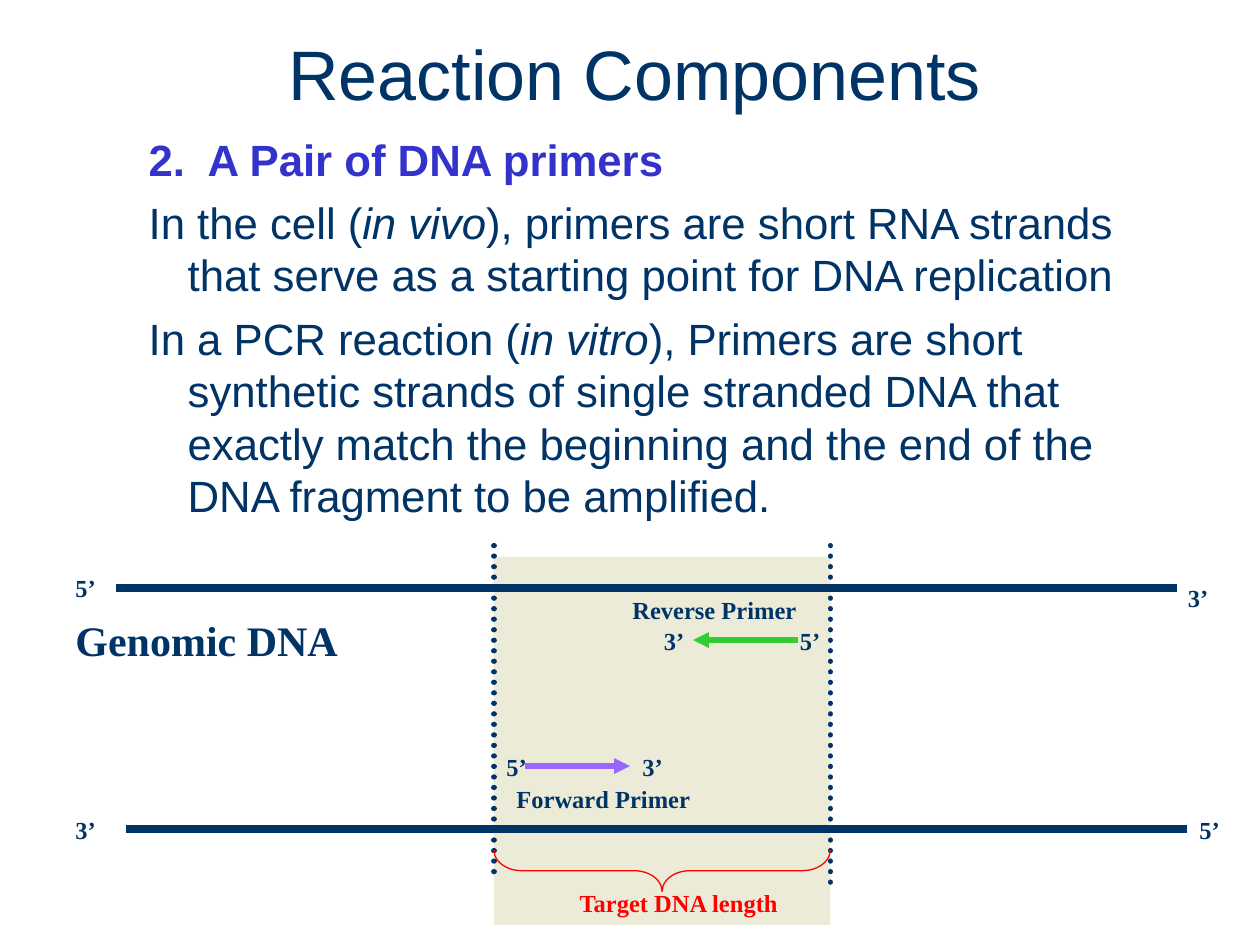
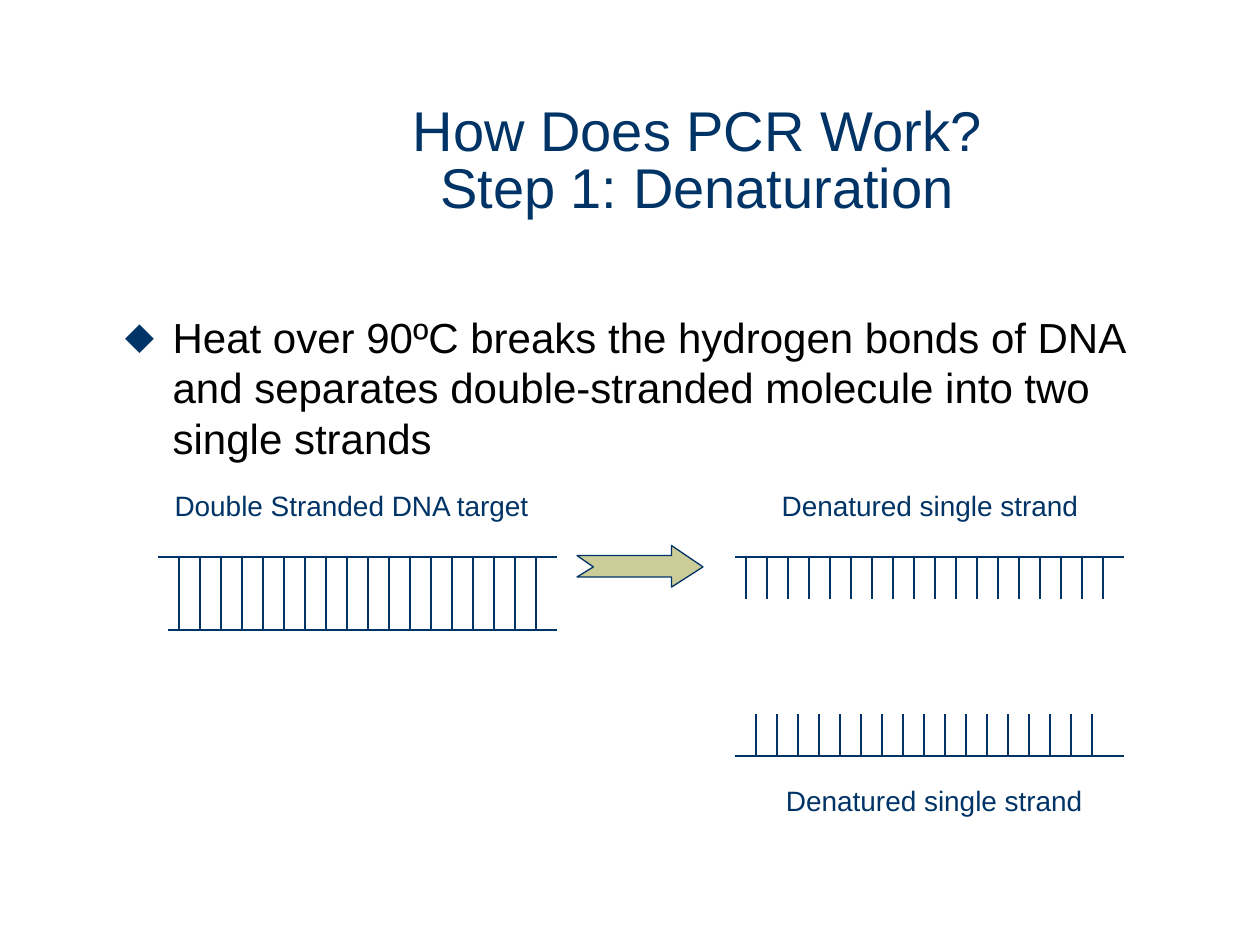
from lxml import etree
from pptx import Presentation
from pptx.dml.color import RGBColor
from pptx.enum.dml import MSO_LINE
from pptx.enum.shapes import MSO_CONNECTOR, MSO_SHAPE as SHAPE
from pptx.enum.text import MSO_ANCHOR as ANCHOR, MSO_AUTO_SIZE as FIT, PP_ALIGN as ALIGN
from pptx.oxml.ns import qn
from pptx.util import Inches, Pt

COLORS = {
    "navy": "003366", "blue": "3333CC", "black": "000000", "red": "FF0000",
    "green": "33CC33", "violet": "9966FF", "cream": "ECEBD8", "khaki": "CCCC99",
}
SANS, SERIF = "Arial", "Times New Roman"
STEP = 1 / 6  # gap between the base pairs of a strand


def color(name):
    return RGBColor.from_string(COLORS[name])


def style(para, size, tone="navy", face=SANS, bold=False):
    for run in para.runs:
        font = run.font
        font.size, font.name, font.bold = Pt(size), face, bold
        font.color.rgb = color(tone)


def move(shape, box):
    shape.left, shape.top, shape.width, shape.height = map(Inches, box)


def add_title(slide, text, box, size):
    title = slide.shapes.title
    move(title, box)
    frame = title.text_frame
    frame.text = text
    frame.auto_size = FIT.NONE
    frame.vertical_anchor = ANCHOR.MIDDLE
    para = frame.paragraphs[0]
    para.alignment, para.line_spacing = ALIGN.CENTER, 0.85
    style(para, size)


def add_body(slide, box):
    body = slide.placeholders[1]
    move(body, box)
    body.text_frame.auto_size = FIT.NONE
    return body.text_frame


def indent(para, left, hang, mark=None):
    """Set a hanging indent, with a bullet if a mark is given."""
    props = para._p.get_or_add_pPr()
    props.set("marL", str(Inches(left)))
    props.set("indent", str(-Inches(hang)))
    if mark:
        tint = etree.SubElement(props, qn("a:buClr"))
        etree.SubElement(tint, qn("a:srgbClr"), val=COLORS["navy"])
        etree.SubElement(props, qn("a:buChar"), char=mark)
    else:
        etree.SubElement(props, qn("a:buNone"))


def add_label(slide, text, x, y, width, size=14, face=SERIF, bold=True, align=ALIGN.LEFT):
    box = slide.shapes.add_textbox(Inches(x), Inches(y), Inches(width), Inches(size / 60 + 0.1))
    frame = box.text_frame
    frame.word_wrap = True
    frame.text = text
    para = frame.paragraphs[0]
    para.alignment = align
    style(para, size, face=face, bold=bold)


def add_line(slide, x1, y1, x2, y2, tone="navy", width=0.75, arrow=False, dots=False):
    line = slide.shapes.add_connector(MSO_CONNECTOR.STRAIGHT, *map(Inches, (x1, y1, x2, y2)))
    line.line.color.rgb = color(tone)
    line.line.width = Pt(width)
    props = line.line._get_or_add_ln()
    if dots:
        line.line.dash_style = MSO_LINE.ROUND_DOT
        props.set("cap", "rnd")
    if arrow:
        etree.SubElement(props, qn("a:tailEnd"), type="triangle")
    etree.SubElement(line._element.spPr, qn("a:effectLst"))


def add_shape(slide, kind, box, fill=None, tone=None):
    shape = slide.shapes.add_shape(kind, *map(Inches, box))
    paint(shape, fill, tone)
    return shape


def paint(shape, fill, tone):
    shape.shadow.inherit = False
    if fill:
        shape.fill.solid()
        shape.fill.fore_color.rgb = color(fill)
    else:
        shape.fill.background()
    if tone:
        shape.line.color.rgb = color(tone)
        shape.line.width = Pt(0.75)
    else:
        shape.line.fill.background()


def add_target(slide, x, y, width):
    """Shaded target region with its caption below."""
    add_shape(slide, SHAPE.RECTANGLE, (x, y, width, 2.58), "cream")
    base = add_shape(slide, SHAPE.RECTANGLE, (x, y + 2.58, width, 0.34), "cream")
    frame = base.text_frame
    frame.margin_left = Inches(0.68)
    frame.vertical_anchor = ANCHOR.TOP
    frame.text = "Target DNA length"
    frame.paragraphs[0].alignment = ALIGN.LEFT
    style(frame.paragraphs[0], 14, "red", SERIF, True)


def add_map(slide, x, y):
    """Genomic DNA with both primers and the target region."""
    left, wide = x + 3.42, 2.67
    add_target(slide, left, y + 0.09, wide)

    # Primers
    add_line(slide, x + 5.83, y + 0.75, x + 5, y + 0.75, "green", 3, arrow=True)
    add_line(slide, x + 3.67, y + 1.75, x + 4.5, y + 1.75, "violet", 3, arrow=True)
    add_label(slide, "Reverse Primer", x + 4.42, y + 0.34, 1.58)
    add_label(slide, "Forward Primer", x + 3.5, y + 1.84, 1.58)

    # Strand and primer ends
    ends = [
        ("3’", 4.67, 0.59), ("5’", 5.75, 0.59), ("3’", 4.5, 1.59), ("5’", 3.42, 1.59),
        ("5’", 0, 0.17), ("3’", 8.83, 0.25), ("3’", 0, 2.09), ("5’", 8.92, 2.09),
    ]
    for text, dx, dy in ends:
        add_label(slide, text, x + dx, y + dy, 0.42)
    add_label(slide, "Genomic DNA", x, y + 0.5, 2.28, 24)

    # Target limits, strands and brace
    add_line(slide, left, y, left, y + 2.67, width=3, dots=True)
    add_line(slide, left + wide, y, left + wide, y + 2.75, width=3, dots=True)
    for dx, dy in ((0.42, 0.34), (0.5, 2.25)):
        add_line(slide, x + dx, y + dy, x + dx + 8.42, y + dy, width=4.5)
    deep = 0.33
    brace = add_shape(slide, SHAPE.LEFT_BRACE,
                      (left + (wide - deep) / 2, y + 2.58 - wide / 2, deep, wide), tone="red")
    brace.rotation = 270
    brace.adjustments[0] = 0.67


def add_rungs(slide, x, y, height, count):
    for i in range(count):
        add_line(slide, x + i * STEP, y, x + i * STEP, y + height)


def add_arrow(slide, x, y):
    """Notched arrow in a box of 1 by 0.33 inches."""
    points = [(0, 0.08), (0.75, 0.08), (0.75, 0), (1, 0.17), (0.75, 0.33),
              (0.75, 0.25), (0, 0.25), (0.13, 0.17)]
    spots = [(Inches(x + dx), Inches(y + dy)) for dx, dy in points]
    build = slide.shapes.build_freeform(*spots[0])
    build.add_line_segments(spots[1:], close=True)
    paint(build.convert_to_shape(), "khaki", "navy")


def add_melt(slide, x, y):
    """Double strand, arrow and the two single strands."""
    top = y + 0.59

    # Double strand
    add_line(slide, x, top, x + 3.17, top)
    add_line(slide, x + 0.08, top + 0.58, x + 3.17, top + 0.58)
    add_rungs(slide, x + 0.17, top, 0.58, 18)
    add_arrow(slide, x + 3.33, top - 0.09)

    # Single strands
    for dy in (0, 1.58):
        add_line(slide, x + 4.58, top + dy, x + 7.67, top + dy)
    add_rungs(slide, x + 4.67, top, 0.33, 18)
    add_rungs(slide, x + 4.75, top + 1.25, 0.33, 17)

    # Captions
    single = "Denatured single strand"
    for text, dx, dy, width in (("Double Stranded DNA target", 0, 0, 3.08),
                                (single, 4.67, 0, 2.92), (single, 4.75, 2.34, 2.83)):
        add_label(slide, text, x + dx, y + dy, width, 16, SANS, False, ALIGN.CENTER)


def primer_slide(slide):
    add_title(slide, "Reaction Components", (1, 0.17, 8.07, 0.92), 40)
    frame = add_body(slide, (0.58, 1, 8.7, 3.42))
    # Each text is split into plain, italic and plain parts
    texts = [
        ("2.  A Pair of DNA primers",),
        ("In the cell (", "in vivo", "), primers are short RNA strands that serve as "
         "a starting point for DNA replication"),
        ("In a PCR reaction (", "in vitro", "), Primers are short synthetic strands of "
         "single stranded DNA that exactly match the beginning and the end of the DNA "
         "fragment to be amplified."),
    ]
    for i, parts in enumerate(texts):
        para = frame.add_paragraph() if i else frame.paragraphs[0]
        indent(para, 0.81, 0.31)
        para.space_before = Pt(6.2 if i else 0)
        for j, part in enumerate(parts):
            run = para.add_run()
            run.text = part
            run.font.italic = j == 1
        style(para, 25, "navy" if i else "blue", bold=not i)
    add_map(slide, 0.5, 4.33)


def melt_slide(slide):
    add_title(slide, "How Does PCR Work?\vStep 1: Denaturation", (1.5, 0.67, 8.07, 1.25), 32)
    frame = add_body(slide, (0.89, 2.42, 8.7, 4.24))
    frame.text = ("Heat over 90ºC breaks the hydrogen bonds of DNA and separates "
                  "double-stranded molecule into two single strands")
    para = frame.paragraphs[0]
    indent(para, 0.38, 0.38, "⬥")
    para.space_before = Pt(0)
    style(para, 24, "black")
    add_melt(slide, 1.25, 3.83)


def main():
    deck = Presentation()
    deck.slide_width, deck.slide_height = Inches(10), Inches(7.5)
    for fill in (primer_slide, melt_slide):
        fill(deck.slides.add_slide(deck.slide_layouts[1]))
    deck.save("out.pptx")


if __name__ == "__main__":
    main()
